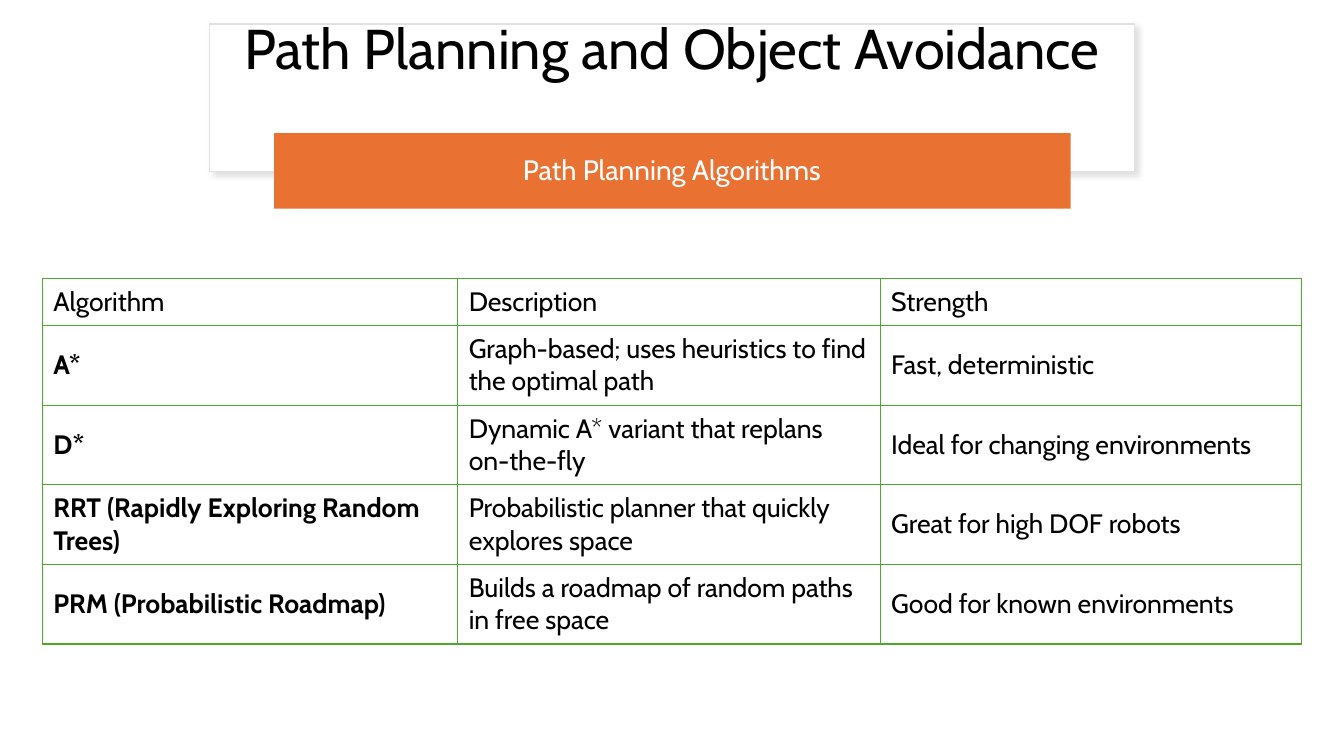
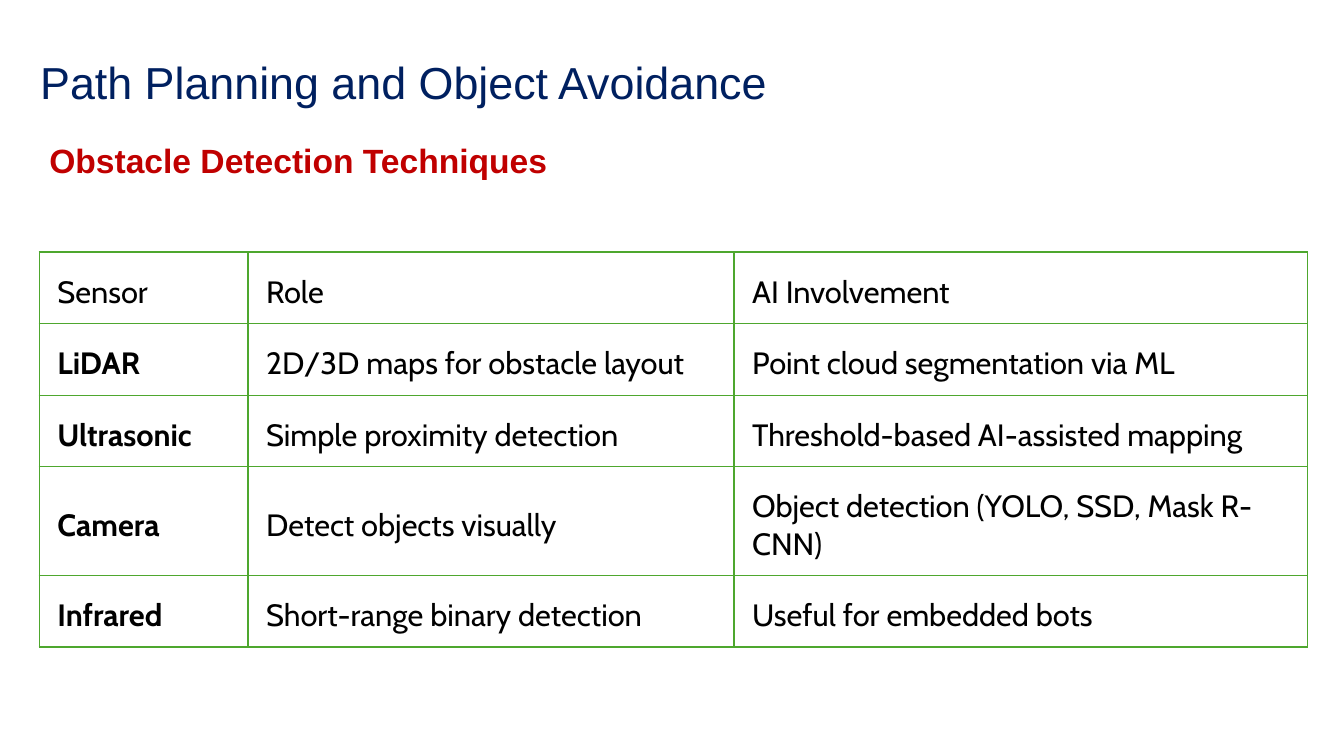
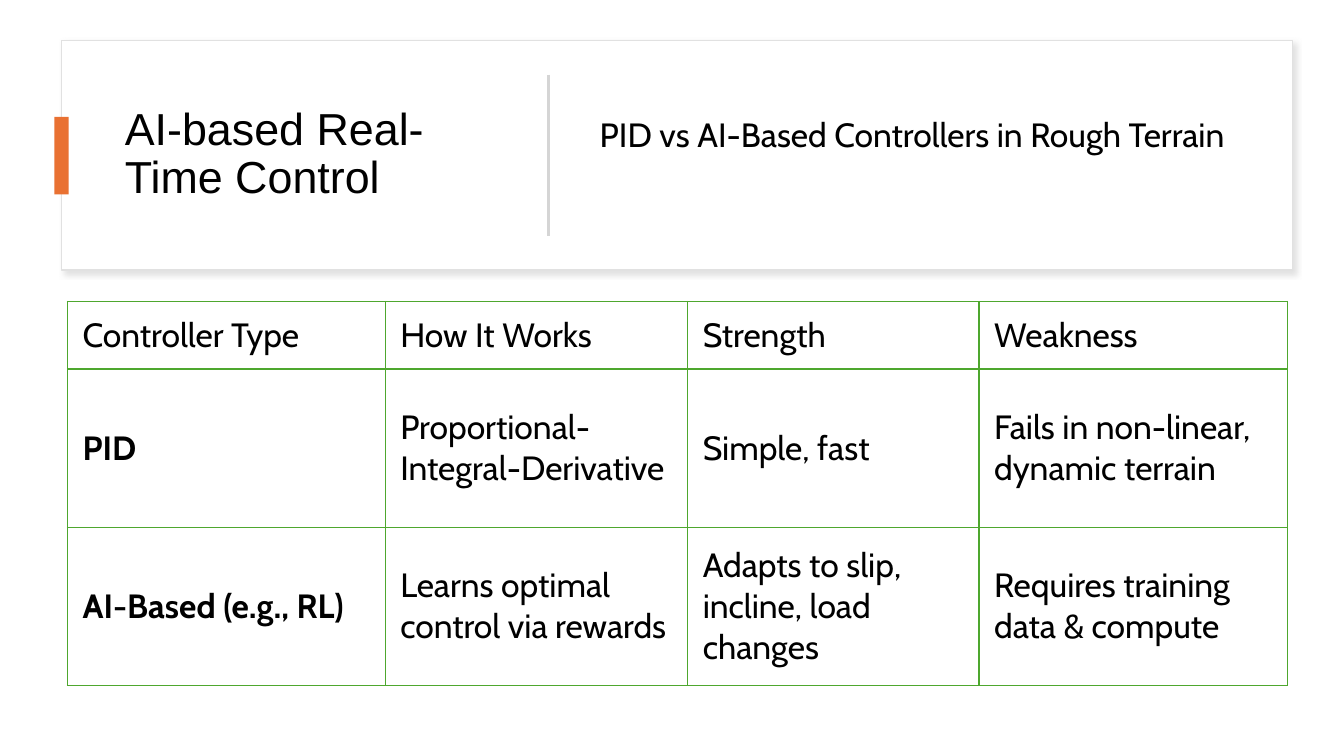
from lxml import etree
from pptx import Presentation
from pptx.dml.color import RGBColor
from pptx.enum import shapes, text
from pptx.oxml import ns
from pptx.util import Inches, Pt

COLORS = {
    "white": "FFFFFF", "black": "000000", "navy": "002060", "red": "C00000",
    "orange": "E97132", "green": "4EA72E", "edge": "E1E1E1",
    "rule": "D5D5D5", "shade": "C5C5C5",
}
SANS, CABIN = "Arial", "Cabin"

PLANNERS = [
    ("Algorithm", "Description", "Strength"),
    ("A*", "Graph-based; uses heuristics to find the optimal path", "Fast, deterministic"),
    ("D*", "Dynamic A* variant that replans on-the-fly", "Ideal for changing environments"),
    ("RRT (Rapidly Exploring Random Trees)",
     "Probabilistic planner that quickly explores space", "Great for high DOF robots"),
    ("PRM (Probabilistic Roadmap)",
     "Builds a roadmap of random paths in free space", "Good for known environments"),
]
SENSORS = [
    ("Sensor", "Role", "AI Involvement"),
    ("LiDAR", "2D/3D maps for obstacle layout", "Point cloud segmentation via ML"),
    ("Ultrasonic", "Simple proximity detection", "Threshold-based AI-assisted mapping"),
    ("Camera", "Detect objects visually", "Object detection (YOLO, SSD, Mask R-CNN)"),
    ("Infrared", "Short-range binary detection", "Useful for embedded bots"),
]
CONTROLS = [
    ("Controller Type", "How It Works", "Strength", "Weakness"),
    ("PID", "Proportional-Integral-Derivative", "Simple, fast",
     "Fails in non-linear, dynamic terrain"),
    ("AI-Based (e.g., RL)", "Learns optimal control via rewards",
     "Adapts to slip, incline, load changes", "Requires training data & compute"),
]


def rgb(name):
    return RGBColor.from_string(COLORS[name])


def node(parent, tag, **attrs):
    return etree.SubElement(parent, ns.qn(tag), {k: str(v) for k, v in attrs.items()})


def write(frame, words, size=24, font=CABIN, color="black", bold=False,
          align="LEFT", space=None):
    para = frame.paragraphs[0]
    para.alignment = getattr(text.PP_ALIGN, align)
    if space:
        para.line_spacing = space
    run = para.add_run()
    run.text = words
    run.font.size, run.font.name, run.font.bold = Pt(size), font, bold
    run.font.color.rgb = rgb(color)


def label(slide, box, words, anchor="MIDDLE", inset=0.1, space=0.9, **style):
    frame = slide.shapes.add_textbox(*map(Inches, box)).text_frame
    frame.word_wrap = True
    frame.vertical_anchor = getattr(text.MSO_ANCHOR, anchor)
    frame.margin_left = frame.margin_right = Inches(inset)
    write(frame, words, space=space, **style)


def block(slide, box, fill, line=None):
    shape = slide.shapes.add_shape(shapes.MSO_SHAPE.RECTANGLE, *map(Inches, box))
    shape.shadow.inherit = False
    shape.fill.solid()
    shape.fill.fore_color.rgb = rgb(fill)
    if line:
        shape.line.color.rgb = rgb(line)
        shape.line.width = Pt(1)
    else:
        shape.line.fill.background()
    return shape


def card(slide, box):
    shape = block(slide, box, "white", "edge")
    effects = shape._element.spPr.find(ns.qn("a:effectLst"))
    shadow = node(effects, "a:outerShdw", blurRad=Pt(4), dist=Pt(3),
                  dir=45 * 60000, algn="tl", rotWithShape=0)
    tint = node(shadow, "a:srgbClr", val=COLORS["shade"])
    node(tint, "a:alpha", val=50000)


def divider(slide, x, top, bottom):
    line = slide.shapes.add_connector(
        shapes.MSO_CONNECTOR.STRAIGHT, *map(Inches, (x, top, x, bottom)))
    line.line.color.rgb = rgb("rule")
    line.line.width = Pt(1.5)
    node(line._element.spPr, "a:effectLst")


def border(cell):
    props = cell._tc.get_or_add_tcPr()
    for side in ("L", "R", "T", "B"):
        edge = node(props, f"a:ln{side}", w=Pt(1))
        fill = node(edge, "a:solidFill")
        node(fill, "a:srgbClr", val=COLORS["green"])


def grid(slide, rows, left, top, widths, heights, size, insets):
    box = (left, top, sum(widths), sum(heights))
    table = slide.shapes.add_table(
        len(rows), len(widths), *map(Inches, box)).table
    table.first_row = table.horz_banding = False
    for col, width in zip(table.columns, widths):
        col.width = Inches(width)
    for r, (row, height) in enumerate(zip(rows, heights)):
        table.rows[r].height = Inches(height)
        for c, words in enumerate(row):
            cell = table.cell(r, c)
            side, above, below = map(Inches, insets)
            cell.margin_left = cell.margin_right = side
            cell.margin_top, cell.margin_bottom = above, below
            cell.vertical_anchor = text.MSO_ANCHOR.MIDDLE
            border(cell)
            cell.fill.background()
            write(cell.text_frame, words, size=size, bold=r > 0 and c == 0)


def plan(slide):
    card(slide, (2.08, 0.24, 9.17, 1.46))
    label(slide, (2.3, 0.03, 8.73, 0.95), "Path Planning and Object Avoidance",
          size=40, align="CENTER", inset=0)
    block(slide, (2.72, 1.32, 7.9, 0.75), "orange")
    label(slide, (2.86, 1.38, 7.61, 0.65), "Path Planning Algorithms",
          size=20, color="white", align="CENTER")
    grid(slide, PLANNERS, 0.42, 2.76, (4.12, 4.19, 4.18),
         [0.47] + [0.79] * 4, 19, (0.11, 0.05, 0.05))


def detect(slide):
    label(slide, (0.3, 0.19, 12.68, 0.98), "Path Planning and Object Avoidance",
          size=32, font=SANS, color="navy", space=1.5)
    label(slide, (0.39, 1.38, 6.98, 0.5), "Obstacle Detection Techniques",
          font=SANS, color="red", bold=True, anchor="TOP")
    grid(slide, SENSORS, 0.39, 2.5, (2.07, 4.82, 5.69),
         (0.71, 0.71, 0.71, 1.08, 0.71), 22, (0.18, 0.18, 0.09))


def control(slide):
    card(slide, (0.61, 0.4, 12.21, 2.28))
    label(slide, (1.14, 0.64, 3.89, 1.8), "AI-based Real-Time Control",
          size=32, font=SANS)
    block(slide, (0.54, 1.16, 0.14, 0.77), "orange")
    divider(slide, 5.44, 0.74, 2.34)
    label(slide, (5.85, 0.46, 6.56, 1.8),
          "PID vs AI-Based Controllers in Rough Terrain")
    grid(slide, CONTROLS, 0.67, 2.99, (3.15, 3, 2.89, 3.06),
         (0.67, 1.57, 1.57), 24, (0.15, 0.08, 0.08))


def main():
    deck = Presentation()
    deck.slide_width, deck.slide_height = Inches(13.33), Inches(7.5)
    for build in (plan, detect, control):
        build(deck.slides.add_slide(deck.slide_layouts[6]))
    deck.save("out.pptx")


if __name__ == "__main__":
    main()
